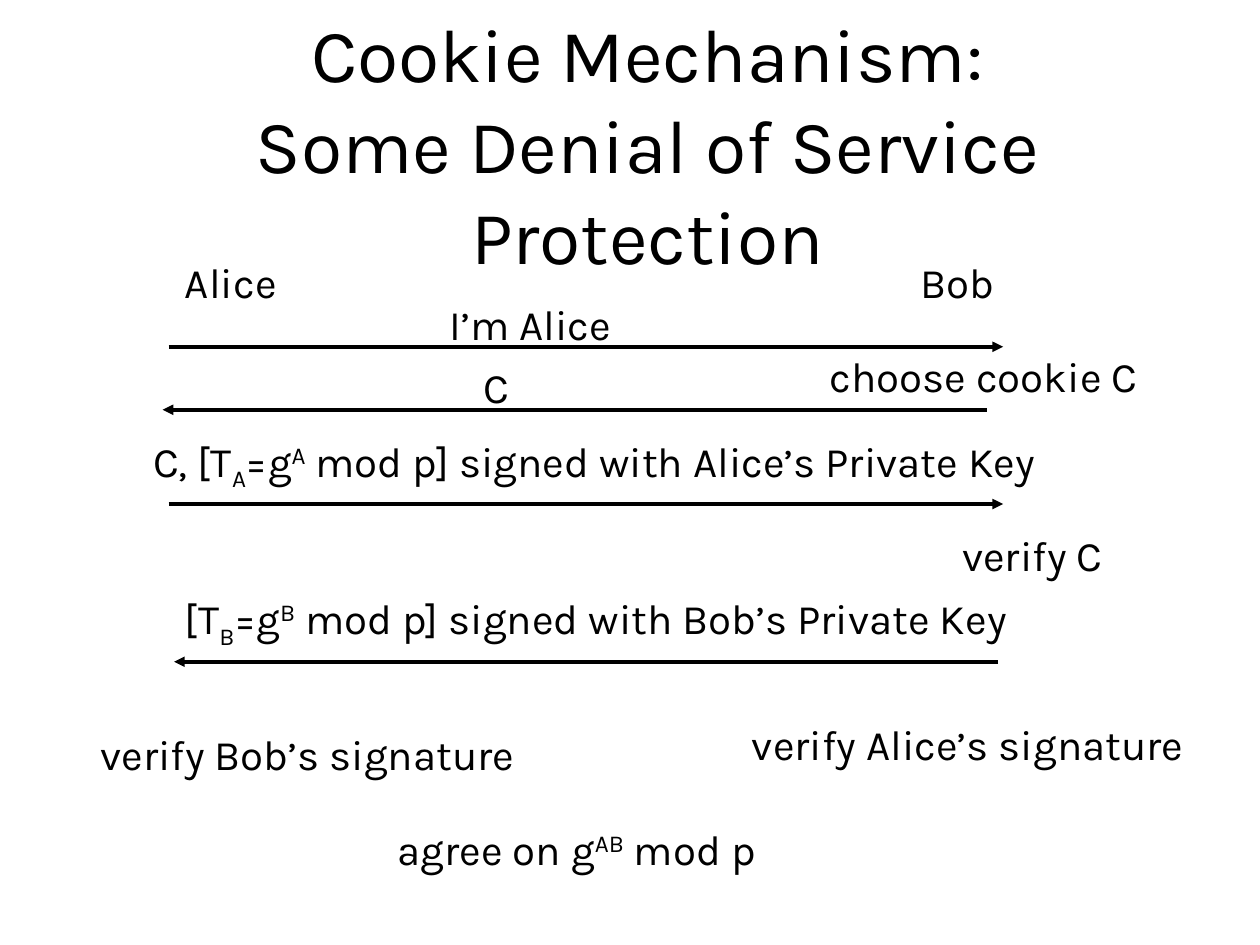
from lxml.etree import SubElement
from pptx import Presentation
from pptx.dml.color import RGBColor as RGB
from pptx.enum.shapes import MSO_CONNECTOR as CONN
from pptx.enum.text import MSO_ANCHOR as ANCHOR, MSO_AUTO_SIZE as AUTO, PP_ALIGN as ALIGN
from pptx.oxml.ns import qn
from pptx.util import Cm, Pt

COLORS = {"ink": "000000", "paper": "FFFFFF"}
SUB, SUP = -25000, 30000

TITLE = ["Cookie Mechanism:", "Some Denial of Service Protection"]
LABELS = [
    (3.48, 5.03, 2.39, ["Alice"]),
    (18.31, 5.03, 2.11, ["Bob"]),
    (8.81, 5.89, 3.84, ["I’m Alice"]),
    (16.48, 6.93, 6.91, ["choose cookie C"]),
    (9.5, 7.16, 1.04, ["C"]),
    (2.84, 8.64, 19.05, ["C, [T", ("A", SUB), "=g", ("A", SUP),
                         " mod p] signed with Alice’s Private Key"]),
    (19.15, 10.54, 3.48, ["verify C"]),
    (3.48, 11.81, 17.78, ["[T", ("B", SUB), "=g", ("B", SUP),
                          " mod p] signed with Bob’s Private Key"]),
    (14.91, 14.35, 9.37, ["verify Alice’s signature"]),
    (1.78, 14.55, 9.09, ["verify Bob’s signature"]),
    (7.77, 16.46, 8.23, ["agree on g", ("AB", SUP), " mod p"]),
]
MESSAGES = [
    (3.4, 20.22, 6.99),
    (19.89, 3.28, 8.26),
    (3.4, 20.22, 10.16),
    (20.12, 3.51, 13.34),
]


def add_run(p, text, size, baseline=0):
    r = p.add_run()
    r.text = text
    for name, value in {"name": "Karla", "size": Pt(size)}.items():
        setattr(r.font, name, value)
    r.font.color.rgb = RGB.from_string(COLORS["ink"])
    if baseline:
        r._r.get_or_add_rPr().set("baseline", str(baseline))


def add_box(slide, x, y, w, h, **frame):
    sp = slide.shapes.add_textbox(Cm(x), Cm(y), Cm(w), Cm(h))
    tf = sp.text_frame
    for name, value in frame.items():
        setattr(tf, name, value)
    p = tf.paragraphs[0]
    p.line_spacing = 1.01
    return p


def add_title(slide, lines):
    p = add_box(slide, 1.47, 0, 23.16, 5.77,
                word_wrap=True, vertical_anchor=ANCHOR.MIDDLE)
    p.alignment = ALIGN.CENTER
    for i, line in enumerate(lines):
        if i:
            p.add_line_break()
        add_run(p, line, 43)


def add_label(slide, x, y, w, parts):
    h = 1.42 if ("A", SUB) in parts or ("B", SUB) in parts else 1.3
    p = add_box(slide, x, y, w, h,
                word_wrap=False, auto_size=AUTO.SHAPE_TO_FIT_TEXT)
    for part in parts:
        text, baseline = (part, 0) if isinstance(part, str) else part
        add_run(p, text, 24, baseline)


def add_message(slide, start, end, y):
    sp = slide.shapes.add_connector(CONN.STRAIGHT, Cm(start), Cm(y), Cm(end), Cm(y))
    sp.line.color.rgb = RGB.from_string(COLORS["ink"])
    sp.line.width = Pt(2)
    SubElement(sp.line._get_or_add_ln(), qn("a:tailEnd"), type="triangle")
    SubElement(sp._element.spPr, qn("a:effectLst"))


def main():
    prs = Presentation()
    prs.slide_width, prs.slide_height = Cm(25.4), Cm(19.05)
    s = prs.slides.add_slide(prs.slide_layouts[6])
    s.background.fill.solid()
    s.background.fill.fore_color.rgb = RGB.from_string(COLORS["paper"])
    add_title(s, TITLE)
    for message in MESSAGES:
        add_message(s, *message)
    for label in LABELS:
        add_label(s, *label)
    prs.save("out.pptx")


if __name__ == "__main__":
    main()
